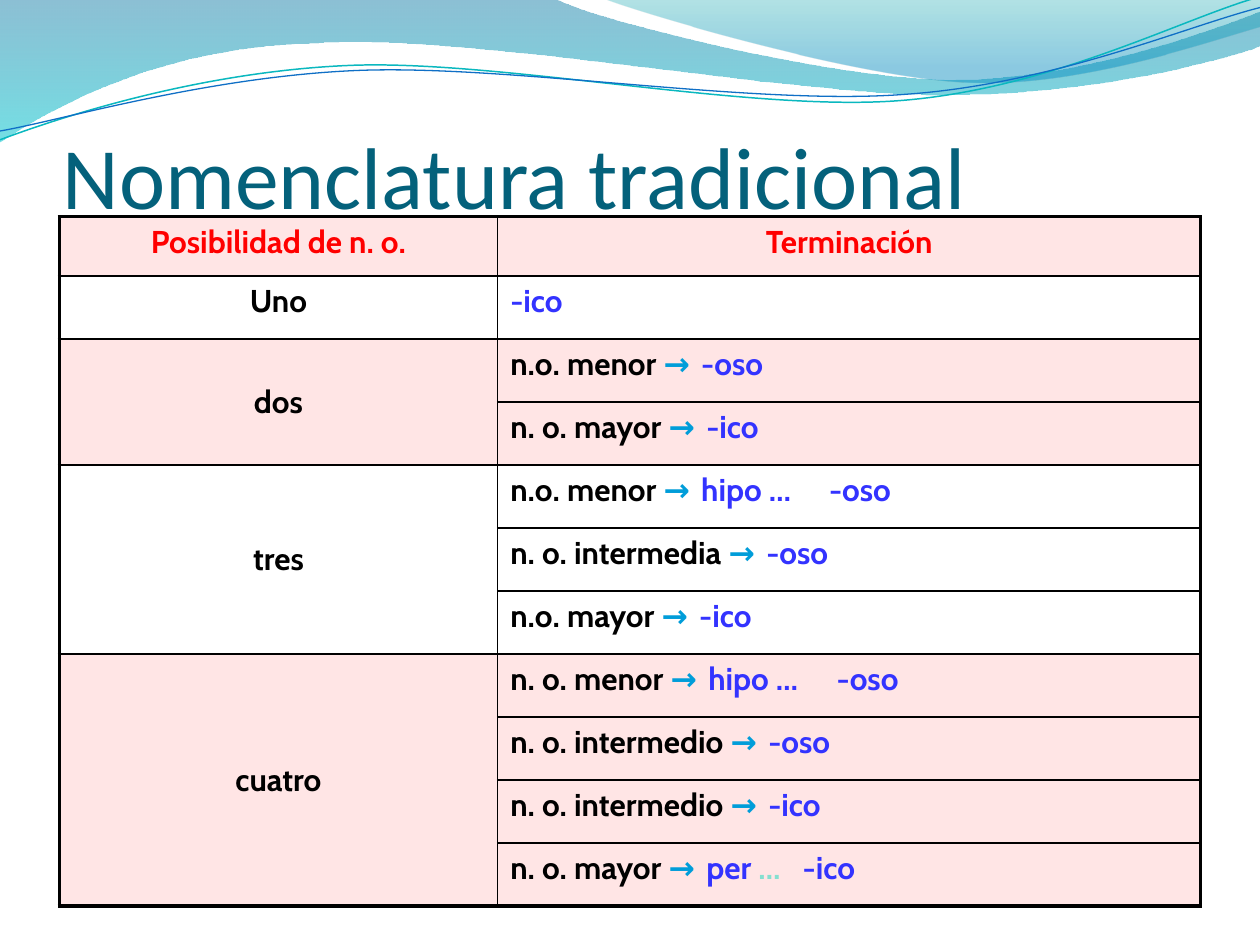
from dataclasses import dataclass
from typing import Any, Optional

from lxml.etree import SubElement
from pptx import Presentation
from pptx.dml.color import RGBColor as Rgb
from pptx.enum.text import MSO_ANCHOR as Anchor, PP_ALIGN as Align
from pptx.oxml import parse_xml
from pptx.oxml.ns import nsdecls, qn
from pptx.util import Inches, Pt

COLORS = {
    "title": "04617B", "heading": "FF0000", "label": "000000", "ending": "3333FF",
    "arrow": "009DD9", "dots": "85DFD0", "pink": "FFCCCC", "white": "FFFFFF",
    "border": "000000", "teal": "0AB8BF", "blue": "0F6FC6",
}
COLUMNS = (3.48, 5.58)
HEADER_HEIGHT, ROW_HEIGHT = 0.47, 0.5
THIN, THICK = 1, 2.25


@dataclass
class Wave:
    """An outline whose segments are cubic curves (six values) or lines (two values)."""
    start: tuple
    segments: list
    stops: tuple = ()
    color: str = ""
    width: float = 0


@dataclass
class Rule:
    """One ending, with its condition and an optional prefix before a tab."""
    ending: str
    condition: str = ""
    prefix: str = ""
    dots: str = "ending"
    tab: Optional[float] = None


@dataclass
class Group:
    """A number of oxidation states and the rules that belong to it."""
    name: str
    fill: str
    rules: list


WAVES = [
    Wave((0, 0), [(4.4, -0.01), (4.76, 0.17, 6.64, 0.63, 7.58, 0.63),
                  (8.53, 0.63, 9.58, 0.26, 10, 0.09), (10.01, 0.36),
                  (9.83, 0.44, 8.7, 0.76, 7.46, 0.75), (6.22, 0.75, 3.82, 0.28, 2.57, 0.34),
                  (1.29, 0.36, 0.46, 0.83, -0.01, 1.13), (0, 0)],
         stops=((0, "0074A1", 45), (1, "00C6CF", 55))),
    Wave((4.79, -0.01), [(5.09, 0.11, 6.82, 0.62, 7.69, 0.65),
                         (8.56, 0.69, 9.61, 0.32, 10, 0.21), (10, 0), (4.79, -0.01)],
         stops=((0, "00A1A9", 30), (0.8, "008BBF", 45))),
    Wave((0, 1.11), [(0.48, 0.93, 1.58, 0.57, 2.77, 0.52), (3.95, 0.47, 5.93, 0.89, 7.13, 0.8),
                     (8.33, 0.71, 9.38, 0.15, 9.98, -0.02)], color="teal", width=0.85),
    Wave((0, 1.04), [(0.47, 0.96, 1.64, 0.61, 2.83, 0.56), (4.03, 0.51, 5.97, 0.84, 7.17, 0.75),
                     (8.36, 0.67, 9.41, 0.21, 10, 0.06)], color="blue", width=0.75),
]
GROUPS = [
    Group("Uno", "white", [Rule("-ico")]),
    Group("dos", "pink", [Rule("-oso", "n.o. menor"), Rule("-ico", "n. o. mayor")]),
    Group("tres", "white", [Rule("-oso", "n.o. menor", "hipo", tab=2.53),
                            Rule("-oso", "n. o. intermedia"), Rule("-ico", "n.o. mayor")]),
    Group("cuatro", "pink", [Rule("-oso", "n. o. menor", "hipo", tab=2.59),
                             Rule("-oso", "n. o. intermedio"), Rule("-ico", "n. o. intermedio"),
                             Rule("-ico", "n. o. mayor", "per", "dots", 2.32)]),
]


def apply(target: Any, values: dict) -> None:
    """Set every attribute named in the format values."""
    for name, value in values.items():
        setattr(target, name, value)


def fade(element: Any, *percents: int) -> None:
    """Give the colours inside an element their opacity."""
    for color, percent in zip(element.iter(qn("a:srgbClr")), percents):
        SubElement(color, qn("a:alpha")).set("val", str(percent * 1000))


def add_span(para: Any, text: str, color: str, font: str = "Cabin",
             size: float = 18, bold: bool = True) -> None:
    """Add one formatted run to a paragraph."""
    span = para.add_run()
    span.text = text
    apply(span.font, {"name": font, "size": Pt(size), "bold": bold})
    span.font.color.rgb = Rgb.from_string(COLORS[color])


def bend(shape: Any, segments: list) -> None:
    """Turn the straight segments that have control points into cubic curves."""
    lines = list(shape._element.iter(qn("a:lnTo")))
    for line, segment in zip(lines, segments):
        if len(segment) == 2:
            continue
        line.tag = qn("a:cubicBezTo")
        for index in range(2):
            x, y = segment[2 * index:2 * index + 2]
            point = line.makeelement(qn("a:pt"), {"x": str(Inches(x) - shape.left),
                                                  "y": str(Inches(y) - shape.top)})
            line.insert(index, point)


def draw_wave(page: Any, wave: Wave) -> None:
    """Draw a wave as a gradient area or as an open line."""
    builder = page.shapes.build_freeform(*(Inches(v) for v in wave.start))
    ends = [tuple(Inches(v) for v in segment[-2:]) for segment in wave.segments]
    builder.add_line_segments(ends, close=bool(wave.stops))
    shape = builder.convert_to_shape()
    bend(shape, wave.segments)
    shape.shadow.inherit = False
    if not wave.stops:
        shape.fill.background()
        shape.line.color.rgb = Rgb.from_string(COLORS[wave.color])
        shape.line.width = Pt(wave.width)
        return
    shape.line.fill.background()
    shape.fill.gradient()
    shape.fill.gradient_angle = 270
    for stop, (position, color, _) in zip(shape.fill.gradient_stops, wave.stops):
        stop.position = position
        stop.color.rgb = Rgb.from_string(color)
    fade(shape._element.spPr, *(percent for _, _, percent in wave.stops))


def draw_title(page: Any, text: str) -> None:
    """Place the slide title."""
    box = page.shapes.add_textbox(Inches(0.5), Inches(0.77), Inches(9), Inches(1.03))
    apply(box.text_frame, {"word_wrap": True, "vertical_anchor": Anchor.BOTTOM, "margin_left": 0,
                           "margin_top": Inches(0.05), "margin_right": 0, "margin_bottom": 0})
    add_span(box.text_frame.paragraphs[0], text, "title", "Calibri", 50, False)


def style_cell(cell: Any, fill: str, edges: dict) -> None:
    """Give a cell its half-transparent fill and its borders."""
    cell.fill.solid()
    cell.fill.fore_color.rgb = Rgb.from_string(COLORS[fill])
    properties = cell._tc.get_or_add_tcPr()
    fade(properties, 50)
    for index, (side, outer) in enumerate(edges.items()):
        width = Pt(THICK if outer else THIN)
        properties.insert(index, parse_xml(
            f'<a:ln{side} {nsdecls("a")} w="{width}"><a:solidFill>'
            f'<a:srgbClr val="{COLORS["border"]}"/></a:solidFill></a:ln{side}>'))


def write_centered(cell: Any, text: str, color: str) -> None:
    """Write a centred heading or group name."""
    para = cell.text_frame.paragraphs[0]
    para.alignment = Align.CENTER
    add_span(para, text, color)


def write_rule(cell: Any, rule: Rule) -> None:
    """Write the condition, arrow, prefix and ending of a rule."""
    para = cell.text_frame.paragraphs[0]
    if rule.tab:
        tabs = SubElement(para._p.get_or_add_pPr(), qn("a:tabLst"))
        SubElement(tabs, qn("a:tab"), {"pos": str(Inches(rule.tab)), "algn": "l"})
    if rule.condition:
        add_span(para, f"{rule.condition} ", "label")
        add_span(para, "→ ", "arrow", "Comic Neue")
    if rule.prefix and rule.dots == "ending":
        add_span(para, f"{rule.prefix} …\t{rule.ending}", "ending")
        return
    if rule.prefix:
        add_span(para, f"{rule.prefix} ", "ending")
        add_span(para, "…\t", rule.dots)
    add_span(para, rule.ending, "ending")


def draw_table(page: Any) -> None:
    """Draw the table of oxidation states and endings."""
    fills = ["pink"] + [group.fill for group in GROUPS for _ in group.rules]
    last = len(fills) - 1
    last_name = last + 1 - len(GROUPS[-1].rules)
    height = HEADER_HEIGHT + last * ROW_HEIGHT
    table = page.shapes.add_table(len(fills), 2, Inches(0.47), Inches(1.72),
                                  Inches(sum(COLUMNS)), Inches(height)).table
    apply(table, {"first_row": False, "horz_banding": False})
    for column, width in zip(table.columns, COLUMNS):
        column.width = Inches(width)
    for row, fill in enumerate(fills):
        table.rows[row].height = Inches(ROW_HEIGHT if row else HEADER_HEIGHT)
        for col, bottom in enumerate((row in (last_name, last), row == last)):
            style_cell(table.cell(row, col), fill,
                       {"L": col == 0, "R": col == 1, "T": row == 0, "B": bottom})
    for col, heading in enumerate(("Posibilidad de n. o.", "Terminación")):
        write_centered(table.cell(0, col), heading, "heading")
    row = 1
    for group in GROUPS:
        name_cell = table.cell(row, 0)
        write_centered(name_cell, group.name, "label")
        if len(group.rules) > 1:
            name_cell.merge(table.cell(row + len(group.rules) - 1, 0))
            name_cell.vertical_anchor = Anchor.MIDDLE
        for rule in group.rules:
            write_rule(table.cell(row, 1), rule)
            row += 1


def main() -> None:
    """Build the slide and save the deck."""
    deck = Presentation()
    apply(deck, {"slide_width": Inches(10), "slide_height": Inches(7.5)})
    page = deck.slides.add_slide(deck.slide_layouts[6])
    for wave in WAVES:
        draw_wave(page, wave)
    draw_title(page, "Nomenclatura tradicional")
    draw_table(page)
    deck.save("out.pptx")


if __name__ == "__main__":
    main()
